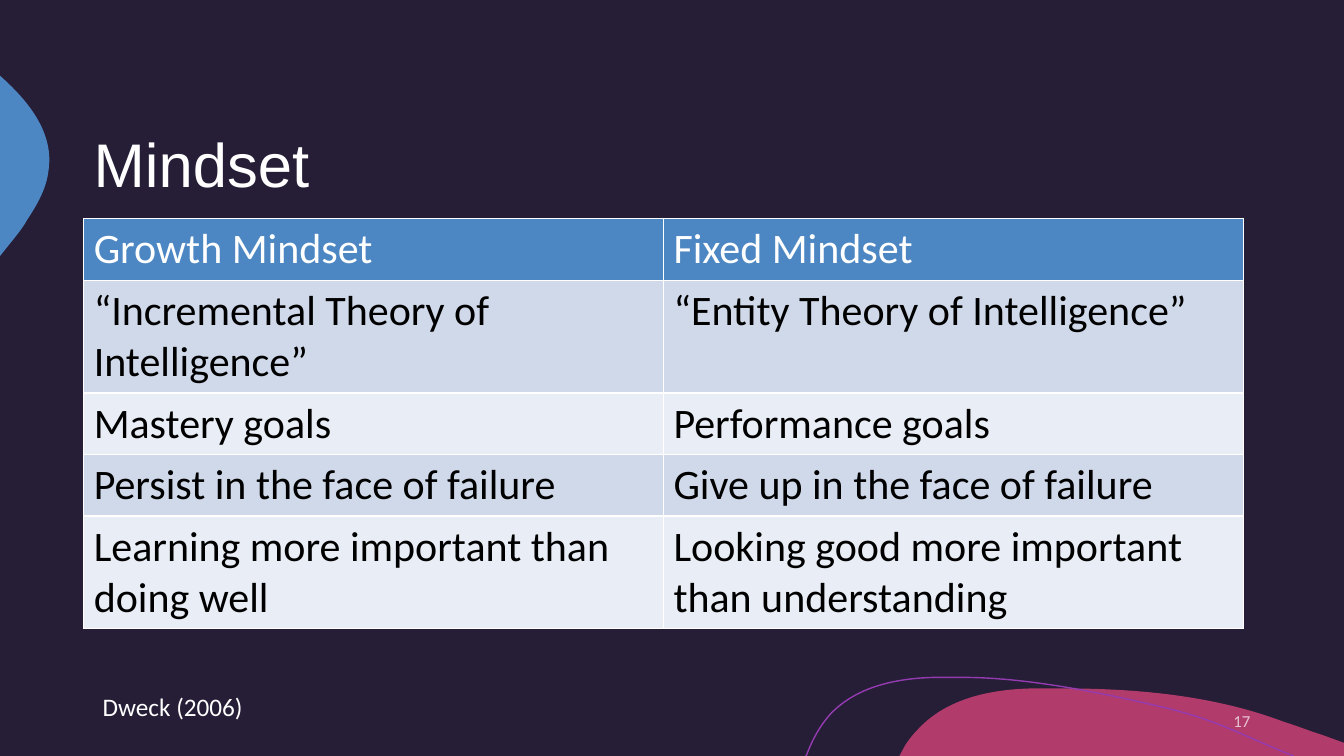
import pptx
import pptx.util
import pptx.dml.color
import pptx.enum.text
import pptx.oxml
import pptx.oxml.ns
from lxml import etree
from pptx.util import Inches

COLORS = {
    "background": "261D36", "pink": "B13B6B", "blue": "4D87C3",
    "purple": "953BB1", "white": "FFFFFF", "black": "000000",
    "band_dark": "D0D9E9", "band_light": "E9EDF5",
}

# Outlines: a start point, then 2 numbers for a line or 6 for a Bézier curve
PINK_HILL = [
    (10.54, 6.83), (11.28, 6.83, 12.04, 6.9, 12.73, 7.16),
    (12.86, 7.2, 12.98, 7.25, 13.11, 7.29), (13.33, 7.37), (13.33, 7.5),
    (8.92, 7.5), (8.98, 7.39), (9.02, 7.33, 9.06, 7.28, 9.11, 7.23),
    (9.39, 6.93, 9.82, 6.84, 10.23, 6.83),
    (10.33, 6.83, 10.43, 6.83, 10.54, 6.83),
]
BLUE_BULGE = [
    (0, 0.75), (0.01, 0.76), (0.3, 1.02, 0.54, 1.33, 0.48, 1.7),
    (0.46, 1.87, 0.37, 2.03, 0.27, 2.18),
    (0.24, 2.24, 0.17, 2.33, 0.08, 2.44), (0, 2.54),
]
PURPLE_LINE = [
    (7.99, 7.5), (8, 7.49), (8.06, 7.33, 8.14, 7.19, 8.24, 7.08),
    (8.5, 6.81, 8.89, 6.73, 9.26, 6.72), (9.55, 6.72),
    (10.22, 6.72, 11, 6.89, 11.55, 7.02),
    (12.09, 7.15, 12.26, 7.27, 12.83, 7.5),
]
MINDSETS = [
    ("Growth Mindset", "Fixed Mindset"),
    ("“Incremental Theory of Intelligence”", "“Entity Theory of Intelligence”"),
    ("Mastery goals", "Performance goals"),
    ("Persist in the face of failure", "Give up in the face of failure"),
    ("Learning more important than doing well",
     "Looking good more important than understanding"),
]
ONE_LINE, TWO_LINES = 0.61, 1.12
ROW_HEIGHTS = [ONE_LINE, TWO_LINES, ONE_LINE, ONE_LINE, TWO_LINES]


def color(name):
    return pptx.dml.color.RGBColor.from_string(COLORS[name])


class SlideBuilder:
    def __init__(self, presentation):
        self.body_font = "Calibri"
        self.slide = presentation.slides.add_slide(presentation.slide_layouts[6])
        fill = self.slide.background.fill
        fill.solid()
        fill.fore_color.rgb = color("background")

    def outline(self, segments, fill=None, line=None):
        points = [(Inches(x), Inches(y)) for *_, x, y in segments]
        builder = self.slide.shapes.build_freeform(*points[0])
        builder.add_line_segments(points[1:], close=fill is not None)
        shape = builder.convert_to_shape()
        self.bend(shape, segments)
        shape.shadow.inherit = False
        if fill:
            shape.fill.solid()
            shape.fill.fore_color.rgb = color(fill)
        else:
            shape.fill.background()
        if line:
            shape.line.color.rgb = color(line)
            shape.line.width = pptx.util.Pt(1)
        else:
            shape.line.fill.background()

    def bend(self, shape, segments):
        """Turn the straight steps that have control points into curves."""
        steps = list(shape._element.iter(pptx.oxml.ns.qn("a:lnTo")))
        for step, segment in zip(steps, segments[1:]):
            if len(segment) == 6:
                step.tag = pptx.oxml.ns.qn("a:cubicBezTo")
                for index in (0, 1):
                    x, y = segment[2 * index:2 * index + 2]
                    control = etree.Element(
                        pptx.oxml.ns.qn("a:pt"),
                        x=str(Inches(x) - shape.left), y=str(Inches(y) - shape.top))
                    step.insert(index, control)

    def style(self, paragraph, size, font_color="white", font=None):
        paragraph.font.name = font or self.body_font
        paragraph.font.size = pptx.util.Pt(size)
        paragraph.font.color.rgb = color(font_color)

    def text(self, words, box, size, font=None, anchor="MIDDLE", align="LEFT", wrap=True):
        shape = self.slide.shapes.add_textbox(*map(Inches, box))
        frame = shape.text_frame
        frame.word_wrap = wrap
        frame.vertical_anchor = pptx.enum.text.MSO_ANCHOR[anchor]
        paragraph = frame.paragraphs[0]
        paragraph.text = words
        paragraph.alignment = pptx.enum.text.PP_ALIGN[align]
        self.style(paragraph, size, font=font)
        return paragraph

    def fade(self, paragraph, percent):
        for rgb in paragraph.font._element.iter(pptx.oxml.ns.qn("a:srgbClr")):
            etree.SubElement(rgb, pptx.oxml.ns.qn("a:alpha"), val=str(percent * 1000))

    def cell_borders(self, cell):
        properties = cell._tc.get_or_add_tcPr()
        for index, side in enumerate(("lnL", "lnR", "lnT", "lnB")):
            properties.insert(index, pptx.oxml.parse_xml(
                f'<a:{side} {pptx.oxml.ns.nsdecls("a")} w="12700"><a:solidFill>'
                f'<a:srgbClr val="{COLORS["white"]}"/></a:solidFill></a:{side}>'))

    def table(self, rows, heights, left, top, width, size):
        table = self.slide.shapes.add_table(
            len(rows), len(rows[0]), Inches(left), Inches(top),
            Inches(width), Inches(sum(heights))).table
        for row_index, (row, height) in enumerate(zip(rows, heights)):
            table.rows[row_index].height = Inches(height)
            band = "band_dark" if row_index % 2 else "band_light"
            for column_index, words in enumerate(row):
                cell = table.cell(row_index, column_index)
                cell.fill.solid()
                cell.fill.fore_color.rgb = color(band if row_index else "blue")
                self.cell_borders(cell)
                paragraph = cell.text_frame.paragraphs[0]
                paragraph.text = words
                self.style(paragraph, size, "black" if row_index else "white")
                paragraph.font.bold = False


def main():
    presentation = pptx.Presentation()
    presentation.slide_width = Inches(13.33)
    presentation.slide_height = Inches(7.5)
    builder = SlideBuilder(presentation)

    # Background decoration
    builder.outline(PINK_HILL, fill="pink")
    builder.outline(BLUE_BULGE, fill="blue")
    builder.outline(PURPLE_LINE, line="purple")

    # Title and comparison table
    title = builder.text("Mindset", (0.83, 0.83, 11.67, 1.67), 44, font="Arial")
    title.line_spacing = 0.9
    builder.table(MINDSETS, ROW_HEIGHTS, 0.83, 2.17, 11.5, 30)

    # Slide number and citation
    number = builder.text("17", (10.83, 6.95, 1.67, 0.4), 12, align="RIGHT")
    builder.fade(number, 70)
    builder.text("Dweck (2006)", (0.92, 6.81, 1.61, 0.4), 18, anchor="TOP", wrap=False)

    presentation.save("out.pptx")


if __name__ == "__main__":
    main()
